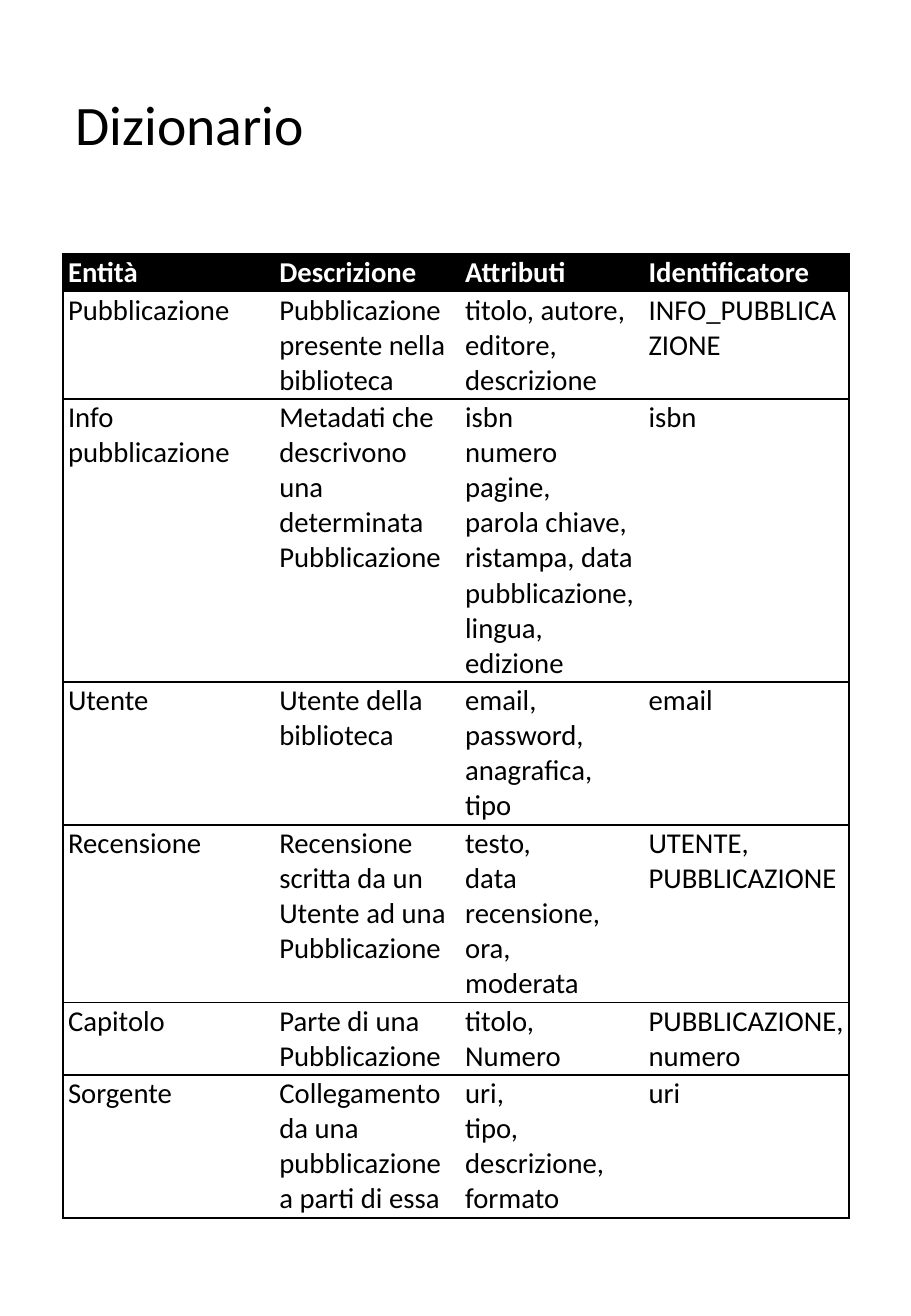
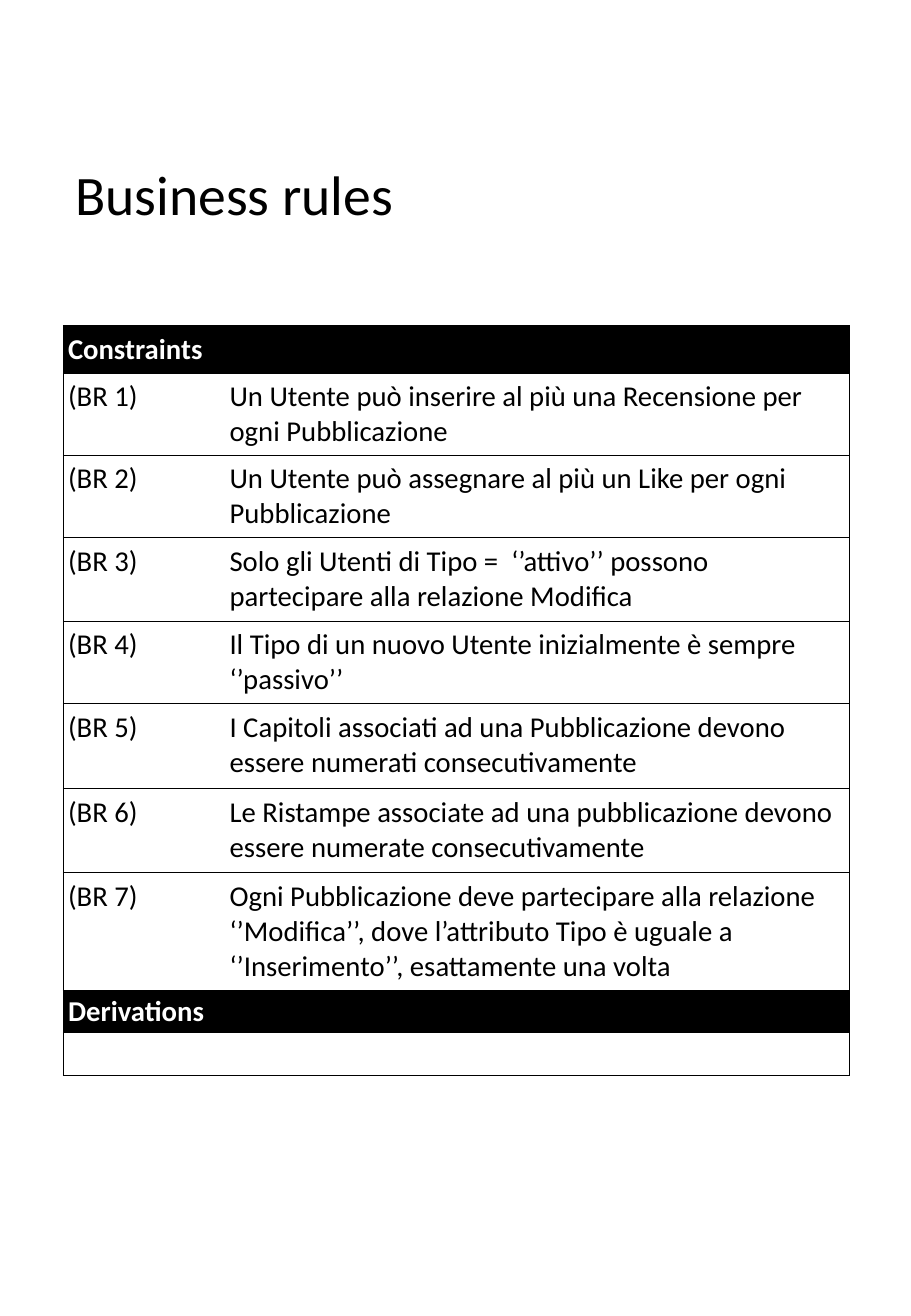
from lxml.etree import SubElement
from pptx import Presentation
from pptx.dml.color import RGBColor
from pptx.enum.text import MSO_ANCHOR, PP_ALIGN
from pptx.oxml.ns import qn
from pptx.util import Inches, Pt

# Shared look
BLACK = RGBColor(0x00, 0x00, 0x00)
WHITE = RGBColor(0xFF, 0xFF, 0xFF)
FONT = "Calibri"
TITLE_SIZE, BODY_SIZE = Pt(33), Pt(17)
PLAIN_STYLE = "{2D5ABB26-0587-4C30-8999-92F81FD0307C}"

# Shared grid, in inches
PAGE_WIDTH, PAGE_HEIGHT = 7.5, 10.83
MARGIN, CONTENT_WIDTH = 0.52, 6.47
TITLE_HEIGHT = 2.09
SIDE_INSET = 0.04

# Content
DICTIONARY = [
    ("Entità", "Descrizione", "Attributi", "Identificatore"),
    ("Pubblicazione", "Pubblicazione presente nella biblioteca",
     "titolo, autore, editore, descrizione", "INFO_PUBBLICAZIONE"),
    ("Info pubblicazione",
     "Metadati che descrivono una determinata Pubblicazione",
     "isbn\nnumero pagine, \nparola chiave, ristampa, data pubblicazione,\n"
     "lingua, edizione", "isbn"),
    ("Utente", "Utente della biblioteca",
     "email, password, anagrafica, tipo", "email"),
    ("Recensione", "Recensione scritta da un Utente ad una Pubblicazione",
     "testo, \ndata recensione, \nora, \nmoderata", "UTENTE, PUBBLICAZIONE"),
    ("Capitolo", "Parte di una Pubblicazione", "titolo, \nNumero",
     "PUBBLICAZIONE, numero"),
    ("Sorgente", "Collegamento da una pubblicazione a parti di essa",
     "uri, \ntipo,\ndescrizione,\nformato", "uri"),
]
RULES = [
    "Un Utente può inserire al più una Recensione per ogni Pubblicazione",
    "Un Utente può assegnare al più un Like per ogni Pubblicazione",
    "Solo gli Utenti di Tipo =  ‘’attivo’’ possono partecipare alla "
    "relazione Modifica",
    "Il Tipo di un nuovo Utente inizialmente è sempre ‘’passivo’’",
    "I Capitoli associati ad una Pubblicazione devono essere numerati "
    "consecutivamente",
    "Le Ristampe associate ad una pubblicazione devono essere numerate "
    "consecutivamente",
    "Ogni Pubblicazione deve partecipare alla relazione ‘’Modifica’’, dove "
    "l’attributo Tipo è uguale a ‘’Inserimento’’, esattamente una volta",
]
CONSTRAINTS = [("Constraints", "")] + [
    (f"(BR {number})", rule) for number, rule in enumerate(RULES, 1)]
DERIVATIONS = [("Derivations", ""), ("", "")]


def style_font(font, size, color, bold=False):
    font.name, font.size, font.bold = FONT, size, bold
    font.color.rgb = color


def add_titled_page(deck, text, top):
    page = deck.slides.add_slide(deck.slide_layouts[5])
    title = page.shapes.title
    title.left, title.top = Inches(MARGIN), Inches(top)
    title.width, title.height = Inches(CONTENT_WIDTH), Inches(TITLE_HEIGHT)
    title.text_frame.text = text
    title.text_frame.vertical_anchor = MSO_ANCHOR.MIDDLE
    para = title.text_frame.paragraphs[0]
    para.alignment, para.line_spacing = PP_ALIGN.LEFT, 0.9
    style_font(para.font, TITLE_SIZE, BLACK)
    return page


def add_border(cell, side, width):
    line = SubElement(cell._tc.get_or_add_tcPr(), qn(f"a:ln{side}"),
                      w=str(Pt(width)))
    fill = SubElement(line, qn("a:solidFill"))
    SubElement(fill, qn("a:srgbClr"), val=str(BLACK))


def format_cell(cell, text, is_header, sides, border, inset):
    # Border elements come before the fill in the cell properties
    for side in sides:
        add_border(cell, side, border)
    cell.fill.solid()
    cell.fill.fore_color.rgb = BLACK if is_header else WHITE
    cell.margin_left = cell.margin_right = Inches(SIDE_INSET)
    cell.margin_top = cell.margin_bottom = Inches(inset)
    cell.text = text
    for para in cell.text_frame.paragraphs:
        style_font(para.font, BODY_SIZE, WHITE if is_header else BLACK,
                   is_header)


def add_ruled_table(page, content, top, height, columns, rows, border, inset):
    """Black header row, horizontal rules and an outer frame."""
    frame = page.shapes.add_table(
        len(rows), len(columns), Inches(MARGIN), Inches(top),
        Inches(CONTENT_WIDTH), Inches(height))
    table = frame.table
    table._tbl.tblPr.find(qn("a:tableStyleId")).text = PLAIN_STYLE
    table.horz_banding = False
    for column, width in zip(table.columns, columns):
        column.width = Inches(width)
    for row, row_height in zip(table.rows, rows):
        row.height = Inches(row_height)
    frame.height = Inches(height)

    last = len(columns) - 1
    for row_index, texts in enumerate(content):
        for column_index, text in enumerate(texts):
            sides = ["L"] * (column_index == 0) + ["R"] * (column_index == last)
            format_cell(table.cell(row_index, column_index), text,
                        row_index == 0, sides + ["T", "B"], border, inset)


def main():
    deck = Presentation()
    deck.slide_width, deck.slide_height = Inches(PAGE_WIDTH), Inches(PAGE_HEIGHT)

    # Data dictionary
    page = add_titled_page(deck, "Dizionario", 0)
    add_ruled_table(page, DICTIONARY, 2.09, 7.85, [1.74, 1.53, 1.51, 1.69],
                    [0.25, 0.62, 1.82, 0.82, 0.82, 0.42, 0.42], 1, 0.01)

    # Business rules
    page = add_titled_page(deck, "Business rules", 0.58)
    add_ruled_table(page, CONSTRAINTS, 2.68, 5.45, [1.33, 5.14],
                    [0.33, 0.67, 0.44, 0.69, 0.44, 0.7, 0.69, 0.93], 0.5, 0.05)
    add_ruled_table(page, DERIVATIONS, 8.15, 0.67, [1.28, 5.19],
                    [0.32, 0.34], 0.5, 0.03)

    deck.save("out.pptx")


main()
